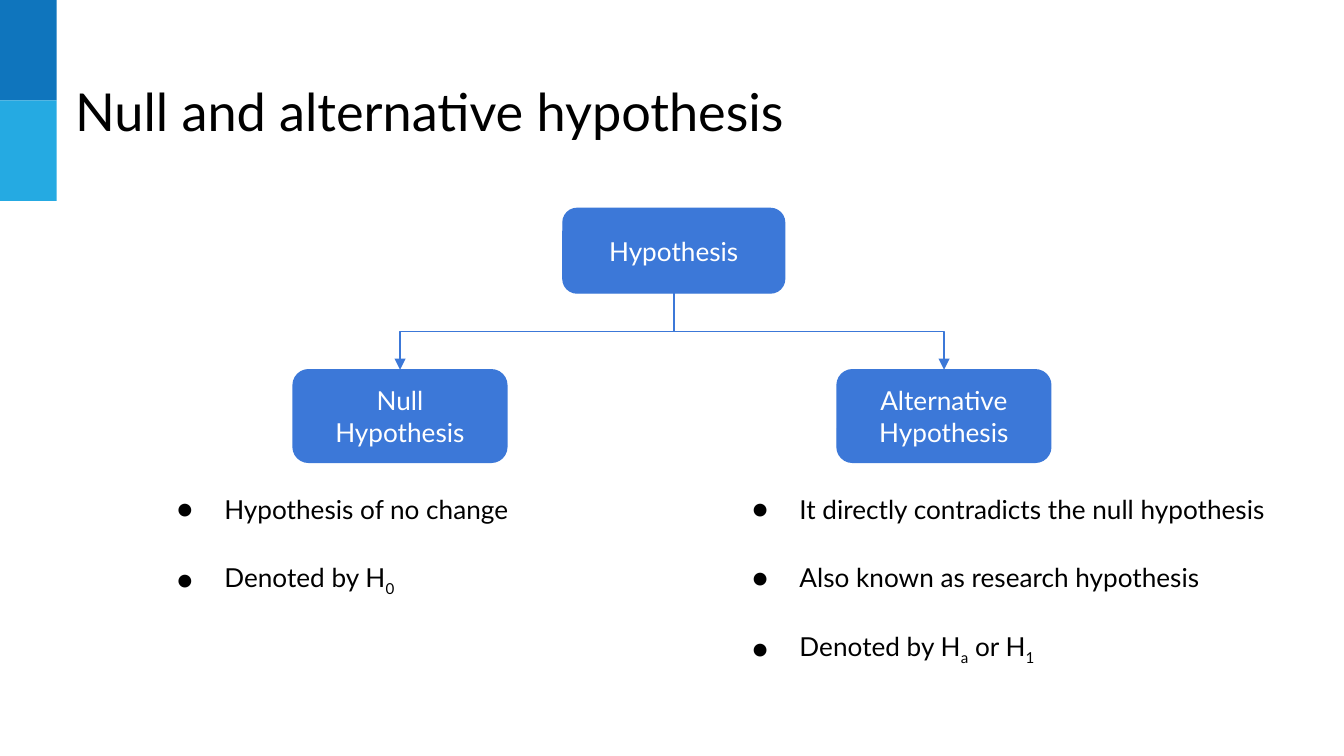
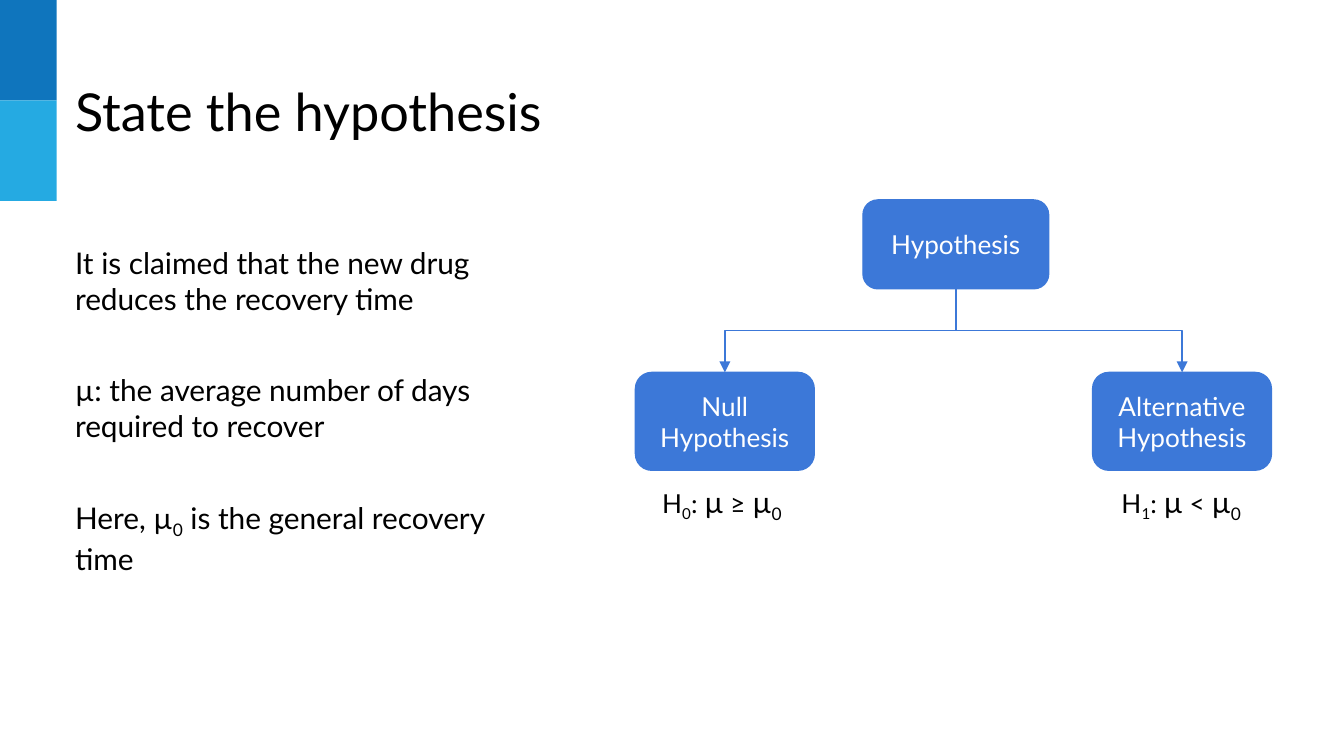
from dataclasses import dataclass
from typing import Optional, Sequence

import lxml.etree
import pptx
import pptx.dml.color
import pptx.enum.shapes
import pptx.enum.text
import pptx.oxml.ns
import pptx.shapes.autoshape
import pptx.slide
import pptx.text.text
import pptx.util

Cm = pptx.util.Cm
Pt = pptx.util.Pt
RGBColor = pptx.dml.color.RGBColor
Shape = pptx.shapes.autoshape.Shape
Slide = pptx.slide.Slide
qn = pptx.oxml.ns.qn
PRESET = pptx.enum.shapes.MSO_SHAPE
ALIGN = pptx.enum.text.PP_ALIGN
ANCHOR = pptx.enum.text.MSO_ANCHOR

FONT = "Lato"
BLACK = RGBColor(0x00, 0x00, 0x00)
WHITE = RGBColor(0xFF, 0xFF, 0xFF)
NODE_BLUE = RGBColor(0x3C, 0x78, 0xD8)
BAND_COLORS = (RGBColor(0x0F, 0x75, 0xBD), RGBColor(0x25, 0xAA, 0xE2))
BAND_WIDTH, BAND_HEIGHT = Cm(1.07), Cm(1.9)
MARGIN = Cm(0.25)
BULLET_INDENT, BULLET_HANG = Cm(1.27), Cm(0.89)
BOTTOM_SITE, TOP_SITE = 2, 0


@dataclass(frozen=True)
class Area:
    left: int
    top: int
    width: int
    height: int


@dataclass(frozen=True)
class Span:
    text: str
    subscript: bool = False
    size: Optional[int] = None


@dataclass(frozen=True)
class TextStyle:
    size: int
    color: RGBColor = BLACK
    align: ALIGN = ALIGN.LEFT
    gap: int = 0
    bullet: bool = False


@dataclass(frozen=True)
class Tree:
    root: Area
    null: Area
    alternative: Area


Para = Sequence[Span]

TITLE_AREA = Area(Cm(1.17), Cm(1.24), Cm(18.72), Cm(1.6))
TITLE_STYLE = TextStyle(28)
NODE_STYLE = TextStyle(14, WHITE, ALIGN.CENTER)
BULLET_STYLE = TextStyle(14, gap=20, bullet=True)
CLAIM_STYLE = TextStyle(16, gap=30)
FORMULA_STYLE = TextStyle(14, align=ALIGN.CENTER)


def add_bullet(para: pptx.text.text._Paragraph) -> None:
    properties = para._p.get_or_add_pPr()
    properties.set("marL", str(BULLET_INDENT))
    properties.set("indent", str(-BULLET_HANG))
    lxml.etree.SubElement(properties, qn("a:buFont"), typeface=FONT)
    lxml.etree.SubElement(properties, qn("a:buChar"), char="●")


def write_text(shape: Shape, paras: Sequence[Para], style: TextStyle) -> None:
    frame = shape.text_frame
    frame.word_wrap = True
    frame.margin_left = frame.margin_right = MARGIN
    frame.margin_top = frame.margin_bottom = MARGIN
    for index, spans in enumerate(paras):
        para = frame.add_paragraph() if index else frame.paragraphs[0]
        if style.bullet:
            add_bullet(para)
        para.alignment = style.align
        if index:
            para.space_before = Pt(style.gap)
        para.font.name = FONT
        para.font.size = Pt(style.size)
        para.font.color.rgb = style.color
        for span in spans:
            run = para.add_run()
            run.text = span.text
            if span.size:
                run.font.size = Pt(span.size)
            if span.subscript:
                run._r.get_or_add_rPr().set("baseline", "-25000")


def add_text(slide: Slide, area: Area, paras: Sequence[Para], style: TextStyle) -> None:
    box = slide.shapes.add_textbox(area.left, area.top, area.width, area.height)
    write_text(box, paras, style)


def add_filled(slide: Slide, preset: PRESET, area: Area, color: RGBColor) -> Shape:
    shape = slide.shapes.add_shape(preset, area.left, area.top, area.width, area.height)
    shape.shadow.inherit = False
    shape.fill.solid()
    shape.fill.fore_color.rgb = color
    shape.line.fill.background()
    return shape


def add_node(slide: Slide, area: Area, label: str) -> Shape:
    node = add_filled(slide, PRESET.ROUNDED_RECTANGLE, area, NODE_BLUE)
    node.line.color.rgb = NODE_BLUE
    node.line.width = Pt(0.75)
    node.text_frame.vertical_anchor = ANCHOR.MIDDLE
    write_text(node, [[Span(label)]], NODE_STYLE)
    return node


def add_branch(slide: Slide, parent: Shape, child: Shape) -> None:
    """Join parent to child with an elbow that leaves and arrives vertically."""
    start_x = parent.left + parent.width // 2
    start_y = parent.top + parent.height
    end_x = child.left + child.width // 2
    branch = slide.shapes.add_connector(
        pptx.enum.shapes.MSO_CONNECTOR.ELBOW, start_x, start_y, end_x, child.top
    )
    branch.begin_connect(parent, BOTTOM_SITE)
    branch.end_connect(child, TOP_SITE)

    # The elbow preset runs horizontally, so its frame is turned a quarter.
    drop, reach = child.top - start_y, abs(end_x - start_x)
    branch.left = (start_x + end_x - drop) // 2
    branch.top = (start_y + child.top - reach) // 2
    branch.width, branch.height = drop, reach
    transform = branch._element.spPr.find(qn("a:xfrm"))
    goes_right = end_x > start_x
    transform.set("rot", str((270 if goes_right else 90) * 60000))
    transform.set("flipH", "1" if goes_right else "0")

    branch.line.color.rgb = NODE_BLUE
    branch.line.width = Pt(0.75)
    lxml.etree.SubElement(branch.line._get_or_add_ln(), qn("a:tailEnd"), type="triangle")
    lxml.etree.SubElement(branch._element.spPr, qn("a:effectLst"))


def add_tree(slide: Slide, tree: Tree) -> None:
    root = add_node(slide, tree.root, "Hypothesis")
    children = [
        add_node(slide, tree.null, "Null Hypothesis"),
        add_node(slide, tree.alternative, "Alternative Hypothesis"),
    ]
    for child in children:
        add_branch(slide, root, child)


def add_page(deck: pptx.presentation.Presentation, title: str) -> Slide:
    """Add a blank slide with the side bands and the title."""
    page = deck.slides.add_slide(deck.slide_layouts[6])
    for index, color in enumerate(BAND_COLORS):
        band = Area(0, index * BAND_HEIGHT, BAND_WIDTH, BAND_HEIGHT)
        add_filled(page, PRESET.RECTANGLE, band, color)
    add_text(page, TITLE_AREA, [[Span(title)]], TITLE_STYLE)
    return page


def formula(index: str, relation: str) -> Para:
    return [
        Span("H"),
        Span(index, subscript=True),
        Span(": "),
        Span("µ", size=16),
        Span(f" {relation} "),
        Span("µ", size=16),
        Span("0", subscript=True, size=16),
    ]


def build_definitions(deck: pptx.presentation.Presentation) -> None:
    page = add_page(deck, "Null and alternative hypothesis")
    null_points = [
        [Span("Hypothesis of no change")],
        [Span("Denoted by H"), Span("0", subscript=True)],
    ]
    alternative_points = [
        [Span("It directly contradicts the null hypothesis")],
        [Span("Also known as research hypothesis")],
        [
            Span("Denoted by H"),
            Span("a", subscript=True),
            Span(" or H"),
            Span("1", subscript=True),
        ],
    ]
    add_text(page, Area(Cm(2.72), Cm(9.07), Cm(9.27), Cm(2.67)), null_points, BULLET_STYLE)
    add_text(
        page, Area(Cm(13.59), Cm(9.07), Cm(11.61), Cm(3.25)), alternative_points, BULLET_STYLE
    )
    add_tree(page, Tree(
        root=Area(Cm(10.64), Cm(3.94), Cm(4.19), Cm(1.6)),
        null=Area(Cm(5.54), Cm(6.99), Cm(4.04), Cm(1.75)),
        alternative=Area(Cm(15.82), Cm(6.99), Cm(4.04), Cm(1.75)),
    ))


def build_statement(deck: pptx.presentation.Presentation) -> None:
    page = add_page(deck, "State the hypothesis")
    claims = [
        [Span("It is claimed that the new drug reduces the recovery time")],
        [Span("µ: the average number of days required to recover")],
        [Span("Here, µ"), Span("0", subscript=True), Span(" is the general recovery time")],
    ]
    add_text(page, Area(Cm(1.17), Cm(4.37), Cm(8.64), Cm(6.96)), claims, CLAIM_STYLE)
    for left, index, relation in ((Cm(11.89), "0", "≥"), (Cm(20.57), "1", "<")):
        area = Area(left, Cm(8.89), Cm(3.51), Cm(1.37))
        add_text(page, area, [formula(index, relation)], FORMULA_STYLE)
    add_tree(page, Tree(
        root=Area(Cm(16.31), Cm(3.78), Cm(3.51), Cm(1.68)),
        null=Area(Cm(12.01), Cm(7.04), Cm(3.38), Cm(1.85)),
        alternative=Area(Cm(20.65), Cm(7.04), Cm(3.38), Cm(1.85)),
    ))


def main() -> None:
    deck = pptx.Presentation()
    deck.slide_width, deck.slide_height = Cm(25.4), Cm(14.29)
    build_definitions(deck)
    build_statement(deck)
    deck.save("out.pptx")


if __name__ == "__main__":
    main()
